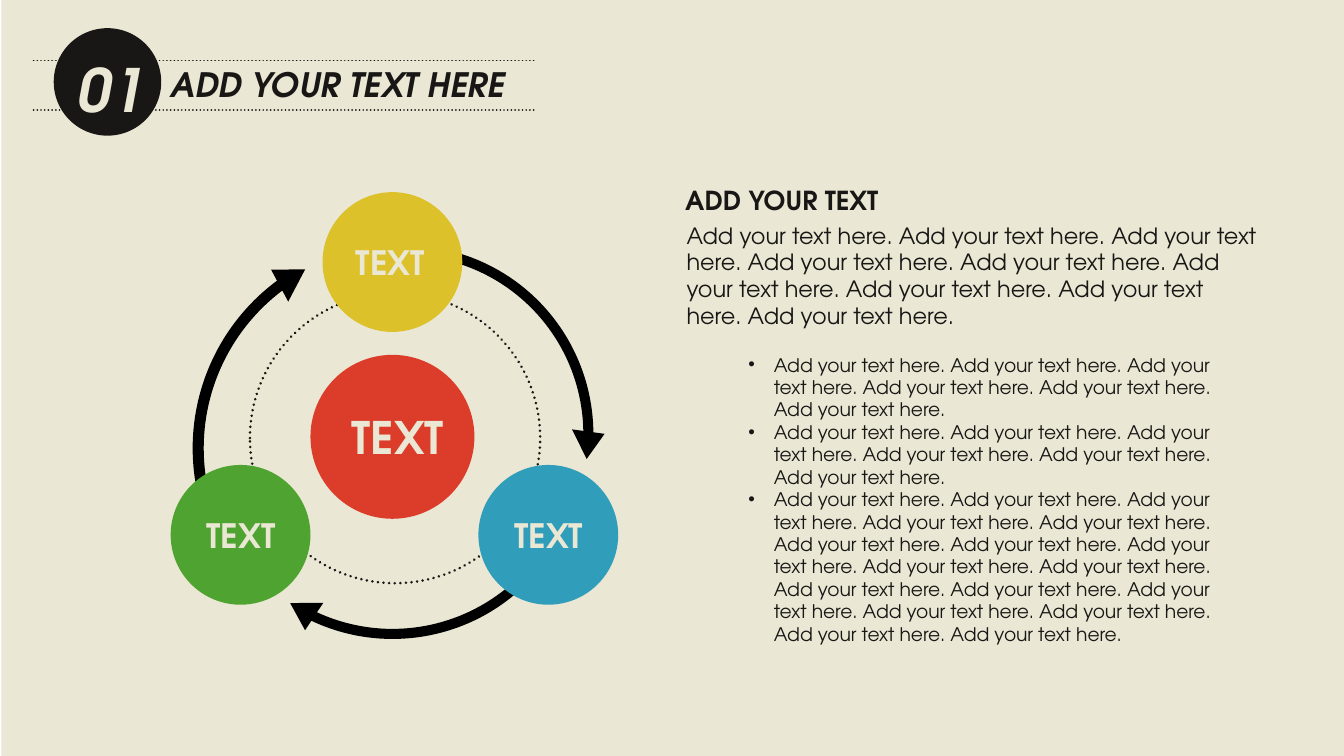
from dataclasses import dataclass

import pptx
import pptx.util
from pptx.dml.color import RGBColor
from pptx.enum.dml import MSO_LINE
from pptx.enum.shapes import MSO_CONNECTOR, MSO_SHAPE
from pptx.enum.text import MSO_AUTO_SIZE
from pptx.oxml.ns import qn
from pptx.util import Inches, Pt

FONT = "TeX Gyre Adventor"
INK, CREAM = "181715", "EAE7D4"
SENTENCE = "Add your text here."


@dataclass
class Disc:
    left: float
    top: float
    size: float
    color: str


@dataclass
class Arrow:
    left: float
    top: float
    size: float
    rotation: float
    start: float


@dataclass
class Label:
    left: float
    top: float
    width: float
    height: float
    paragraphs: list[str]
    size: int
    color: str = INK
    bold: bool = False
    italic: bool = False
    wrap: bool = False
    bullet: bool = False


def rgb(color: str) -> RGBColor:
    return RGBColor.from_string(color)


def sentences(count: int) -> str:
    return " ".join([SENTENCE] * count)


def add_filled(s, kind, left: float, top: float, width: float, height: float, color: str):
    sp = s.shapes.add_shape(kind, Inches(left), Inches(top), Inches(width), Inches(height))
    sp.shadow.inherit = False
    sp.fill.solid()
    sp.fill.fore_color.rgb = rgb(color)
    sp.line.fill.background()
    return sp


def add_disc(s, disc: Disc):
    return add_filled(s, MSO_SHAPE.OVAL, disc.left, disc.top, disc.size, disc.size, disc.color)


def set_dotted(sp, width: float) -> None:
    sp.line.color.rgb = rgb(INK)
    sp.line.width = Pt(width)
    sp.line.dash_style = MSO_LINE.ROUND_DOT
    sp._element.spPr.find(qn("a:ln")).set("cap", "rnd")


def add_arrow(s, arrow: Arrow) -> None:
    sp = add_filled(s, MSO_SHAPE.CIRCULAR_ARROW, arrow.left, arrow.top,
                    arrow.size, arrow.size, "000000")
    sp.rotation = arrow.rotation
    for i, value in enumerate((0.025, 5.124, 195.681, arrow.start, 0.041)):
        sp.adjustments[i] = value


def add_rule(s, y: float) -> None:
    line = s.shapes.add_connector(MSO_CONNECTOR.STRAIGHT, Inches(0.25), Inches(y),
                                  Inches(3.98), Inches(y))
    set_dotted(line, 1)
    sp_pr = line._element.spPr
    sp_pr.append(sp_pr.makeelement(qn("a:effectLst"), {}))


def add_bullet(p) -> None:
    p_pr = p._p.get_or_add_pPr()
    p_pr.set("marL", str(Inches(0.19)))
    p_pr.set("indent", str(-Inches(0.19)))
    p_pr.append(p_pr.makeelement(qn("a:buFont"), {"typeface": "Arial"}))
    p_pr.append(p_pr.makeelement(qn("a:buChar"), {"char": "•"}))


def add_label(s, label: Label) -> None:
    box = s.shapes.add_textbox(Inches(label.left), Inches(label.top),
                               Inches(label.width), Inches(label.height))
    tf = box.text_frame
    tf.word_wrap = label.wrap
    tf.auto_size = MSO_AUTO_SIZE.SHAPE_TO_FIT_TEXT
    style = {"name": FONT, "size": Pt(label.size), "bold": label.bold, "italic": label.italic}
    for i, text in enumerate(label.paragraphs):
        p = tf.add_paragraph() if i else tf.paragraphs[0]
        if label.bullet:
            add_bullet(p)
        r = p.add_run()
        r.text = text
        for key, value in style.items():
            setattr(r.font, key, value)
        r.font.color.rgb = rgb(label.color)


ARROWS = [
    Arrow(1.34, 1.69, 3.29, 267.1, 156.08),
    Arrow(1.52, 1.74, 2.98, 33.1, 151.87),
    Arrow(1.42, 1.84, 3, 148.9, 155.18),
]
OUTER_DISCS = [
    Disc(2.4, 1.43, 1.04, "DCC12A"),
    Disc(3.56, 3.46, 1.04, "309EBA"),
    Disc(1.27, 3.46, 1.04, "4FA331"),
]
LABELS = [
    Label(1.17, 0.43, 2.76, 0.4, ["ADD YOUR TEXT HERE"], 18, bold=True, italic=True),
    Label(0.48, 0.34, 0.7, 0.64, ["01"], 32, CREAM, bold=True, italic=True),
    Label(2.52, 3, 0.89, 0.51, ["TEXT"], 24, CREAM, bold=True),
    *(Label(left, top, 0.72, 0.4, ["TEXT"], 18, CREAM, bold=True)
      for left, top in ((2.55, 1.75), (1.44, 3.78), (3.73, 3.78))),
    Label(5.01, 1.6, 4.48, 0.91, [sentences(9)], 12, wrap=True),
    Label(5, 1.32, 1.65, 0.34, ["ADD YOUR TEXT"], 14, bold=True),
    Label(5.47, 2.58, 3.86, 2.29, [sentences(n) for n in (6, 6, 17)], 10,
          wrap=True, bullet=True),
]


def main() -> None:
    prs = pptx.Presentation()
    prs.slide_width = Inches(10)
    prs.slide_height = prs.slide_width * 9 // 16
    s = prs.slides.add_slide(prs.slide_layouts[6])

    add_filled(s, MSO_SHAPE.RECTANGLE, 0.01, 0, 9.99, 5.64, CREAM)
    orbit = add_disc(s, Disc(1.86, 2.18, 2.16, CREAM))
    orbit.fill.background()
    set_dotted(orbit, 1.5)
    add_disc(s, Disc(2.31, 2.64, 1.22, "DC3D2A"))
    for arrow in ARROWS:
        add_arrow(s, arrow)

    for y in (0.45, 0.82):
        add_rule(s, y)
    add_disc(s, Disc(0.4, 0.21, 0.8, INK))
    for disc in OUTER_DISCS:
        add_disc(s, disc)
    for label in LABELS:
        add_label(s, label)

    prs.save("out.pptx")


if __name__ == "__main__":
    main()
